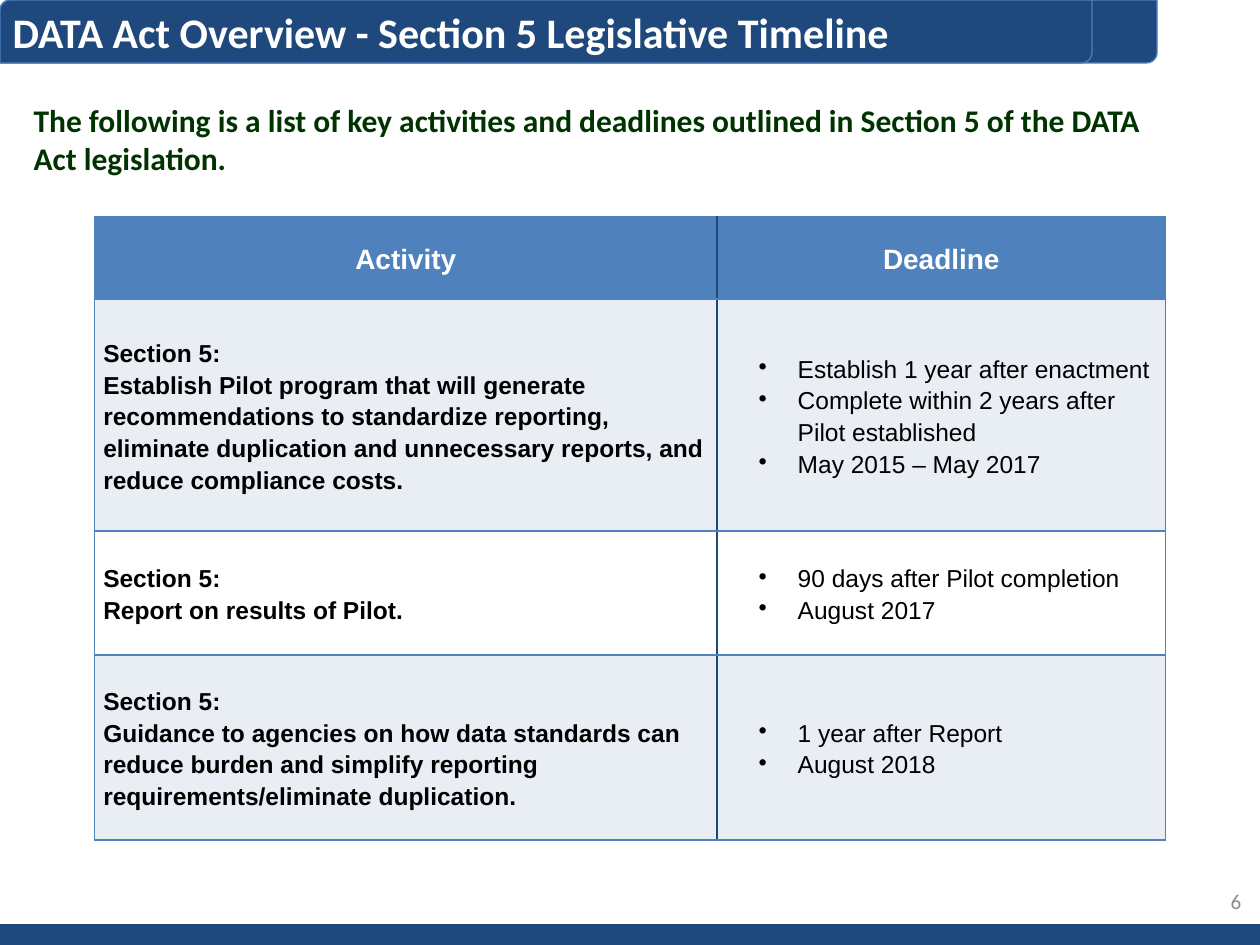
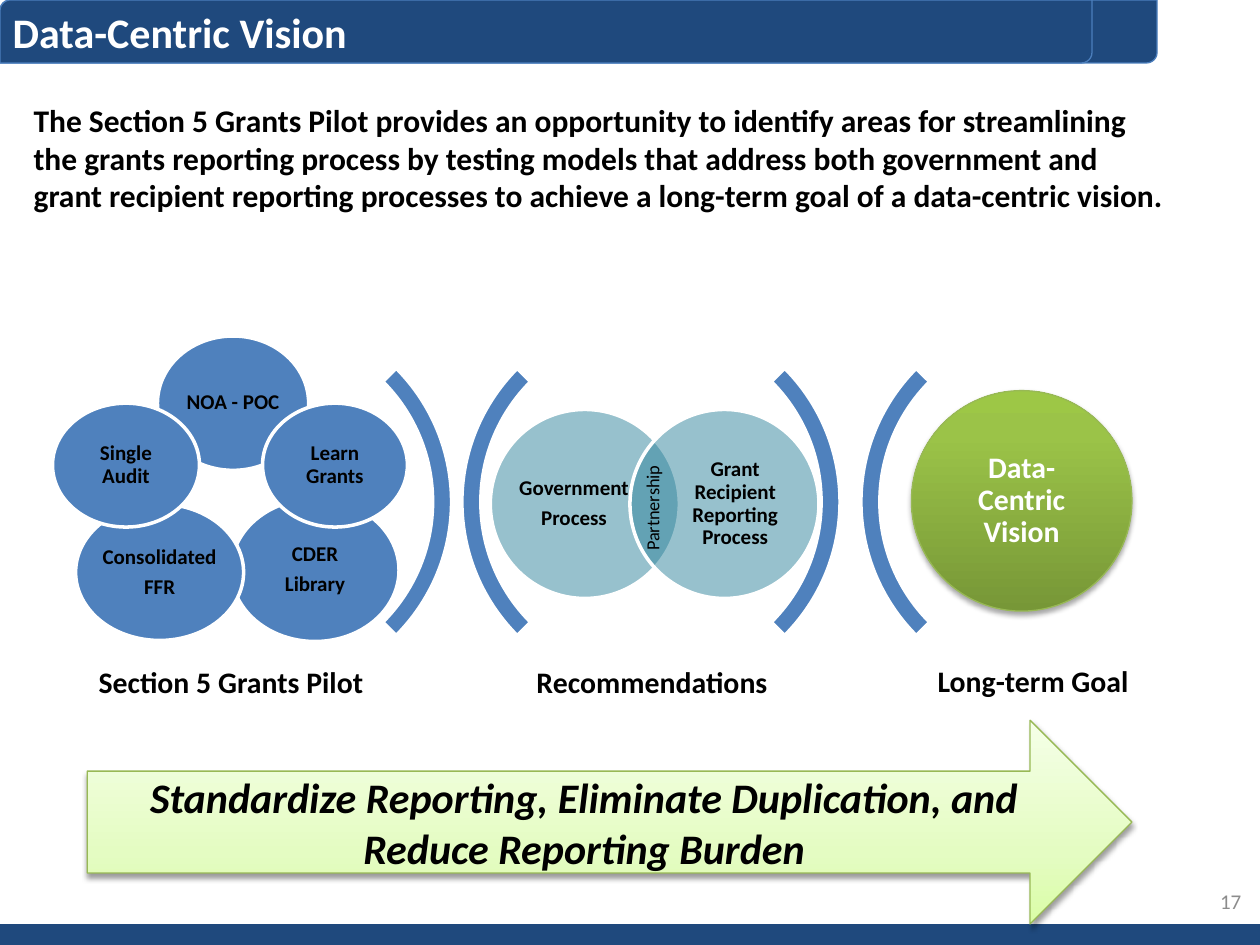
from lxml import etree
from pptx import Presentation
from pptx.dml.color import RGBColor
from pptx.enum.shapes import MSO_SHAPE
from pptx.enum.text import MSO_ANCHOR, MSO_AUTO_SIZE, PP_ALIGN
from pptx.oxml.ns import qn
from pptx.util import Inches, Pt

LEFT, CENTER, RIGHT = PP_ALIGN.LEFT, PP_ALIGN.CENTER, PP_ALIGN.RIGHT
TOP, MIDDLE = MSO_ANCHOR.TOP, MSO_ANCHOR.MIDDLE
NO_AUTOFIT = MSO_AUTO_SIZE.NONE
RECT, OVAL = MSO_SHAPE.RECTANGLE, MSO_SHAPE.OVAL
BAND, ARC = MSO_SHAPE.ROUND_2_DIAG_RECTANGLE, MSO_SHAPE.BLOCK_ARC
ARROW = MSO_SHAPE.RIGHT_ARROW

# Colours
NAVY, BLUE, BAND_EDGE, TEAL = "1F497D", "4F81BD", "4B7EBC", "31859C"
GREEN_EDGE, DARK_GREEN, PALE_BLUE = "98B955", "003300", "E9EDF4"
WHITE, BLACK, GRAY = "FFFFFF", "000000", "8C8C8C"
GOAL_GREENS = [(0, "779737"), (80, "9BC348"), (100, "9DC746")]
ARROW_GREENS = [(0, "DAFDA7"), (35, "E4FCC2"), (100, "F5FFE7")]

# Slide grid: 120 columns by 90 rows
COLUMNS, ROWS = 120, 90
CELL = Inches(10) / COLUMNS
OVAL_INSET = 0.146  # share of an oval's width outside its text area


def rgb(hex_colour):
    return RGBColor.from_string(hex_colour)


def grid(*cells):
    return [round(count * CELL) for count in cells]


def add_xml(parent, tag, **attributes):
    child = etree.SubElement(parent, qn(tag))
    for key, value in attributes.items():
        child.set(key, str(value))
    return child


# Text
def set_frame(frame, anchor=TOP, margins=None):
    frame.word_wrap = True
    frame.auto_size = NO_AUTOFIT
    frame.vertical_anchor = anchor
    if margins:
        (frame.margin_left, frame.margin_top,
         frame.margin_right, frame.margin_bottom) = margins


def write(frame, lines, size, colour, bold=True, italic=False, align=LEFT,
          font="Calibri", spacing=None, after=None, bullet=None):
    for index, line in enumerate(lines):
        paragraph = frame.paragraphs[0] if index == 0 else frame.add_paragraph()
        paragraph.alignment = align
        paragraph.space_before = Pt(0)
        if spacing:
            paragraph.line_spacing = spacing
        if after:
            paragraph.space_after = Pt(after)
        if bullet:
            properties = paragraph._p.get_or_add_pPr()
            properties.set("marL", str(Inches(0.57)))
            properties.set("indent", str(Inches(-0.31)))
            add_xml(properties, "a:buChar", char=bullet)
        run = paragraph.add_run()
        run.text = line
        run.font.name, run.font.size = font, Pt(size)
        run.font.bold, run.font.italic = bold, italic
        run.font.color.rgb = rgb(colour)


def write_diagram(frame, lines, size, colour=BLACK):
    write(frame, lines, size, colour, align=CENTER, spacing=0.9, after=0.35 * size)


def add_text(slide, place, anchor=TOP, margins=None):
    frame = slide.shapes.add_textbox(*grid(*place)).text_frame
    set_frame(frame, anchor, margins)
    return frame


# Shapes
def add_figure(slide, preset, place, fill=None, edge=None, weight=0.75):
    figure = slide.shapes.add_shape(preset, *grid(*place))
    figure.shadow.inherit = False
    if fill:
        figure.fill.solid()
        figure.fill.fore_color.rgb = rgb(fill)
    if edge:
        figure.line.color.rgb = rgb(edge)
        figure.line.width = Pt(weight)
    else:
        figure.line.fill.background()
    return figure


def add_glossy(slide, preset, place, stops, shadow_alpha):
    figure = add_figure(slide, preset, place, edge=GREEN_EDGE)
    figure.fill.gradient()
    figure.fill.gradient_angle = 90
    properties = figure._element.spPr
    stop_list = properties.find(qn("a:gradFill")).find(qn("a:gsLst"))
    for stop in list(stop_list):
        stop_list.remove(stop)
    for position, colour in stops:
        stop = add_xml(stop_list, "a:gs", pos=position * 1000)
        add_xml(stop, "a:srgbClr", val=colour)
    shadow = add_xml(properties.find(qn("a:effectLst")), "a:outerShdw",
                     blurRad=Pt(3.1), dist=Pt(1.8), dir=5400000, rotWithShape=0)
    add_xml(add_xml(shadow, "a:srgbClr", val=BLACK), "a:alpha", val=shadow_alpha * 1000)
    return figure


def fill_oval(oval, lines, size, pad_left, pad_right, colour=BLACK):
    outside = OVAL_INSET * oval.width
    left, right = (max(0, round(Inches(pad) - outside)) for pad in (pad_left, pad_right))
    set_frame(oval.text_frame, MIDDLE, (left, 0, right, 0))
    write_diagram(oval.text_frame, lines, size, colour)


def add_arc(slide, left, rotation):
    arc = add_figure(slide, ARC, (left, 29.8, 36, 36), BLUE, WHITE, 2)
    for index, value in enumerate((135, 189, 0.05)):
        arc.adjustments[index] = value
    arc.rotation = rotation


# Shared parts
def build_bands(slide, layout):
    bands = [
        add_figure(slide, RECT, (0, 88, COLUMNS, 2), NAVY),
        add_figure(slide, BAND, (0, 0, 110.2, 6), NAVY, BAND_EDGE),
        add_figure(slide, BAND, (0, 0, 104, 6), NAVY, BAND_EDGE),
    ]
    for order, band in enumerate(bands):
        band._element.nvSpPr.cNvPr.set("id", str(101 + order))
        layout.shapes._spTree.insert(2 + order, band._element)


def move(placeholder, place):
    (placeholder.left, placeholder.top,
     placeholder.width, placeholder.height) = grid(*place)
    set_frame(placeholder.text_frame)
    return placeholder.text_frame


def add_page(slide, title, intro, intro_rows, intro_colour, number):
    write(move(slide.shapes.title, (0, 0, 102, 6)), [title], 24, WHITE)
    body = move(slide.placeholders[1], (2, 9, 110.6, intro_rows))
    properties = body.paragraphs[0]._p.get_or_add_pPr()
    properties.set("marL", "0")
    properties.set("indent", "0")
    add_xml(properties, "a:buNone")
    write(body, [intro], 18, intro_colour)
    number_frame = add_text(slide, (91.4, 83.4, 28, 4.8), MIDDLE)
    write(number_frame, [number], 12, GRAY, bold=False, align=RIGHT)


# Table
def set_borders(cell, left, right):
    properties = cell._tc.get_or_add_tcPr()
    sides = (("a:lnL", left), ("a:lnR", right), ("a:lnT", BLUE), ("a:lnB", BLUE))
    for order, (tag, colour) in enumerate(sides):
        edge = add_xml(properties, tag, w=Pt(1))
        add_xml(add_xml(edge, "a:solidFill"), "a:srgbClr", val=colour)
        properties.insert(order, edge)


def add_deadlines(slide, header, rows):
    widths, heights = grid(59.3, 42.7), grid(7.9, 22.1, 11.8, 17.6)
    frame = slide.shapes.add_table(len(heights), len(widths), *grid(9, 20.6, 102, 59.4))
    table = frame.table
    for column, width in zip(table.columns, widths):
        column.width = width
    for row, height in zip(table.rows, heights):
        row.height = height
    for row_index, texts in enumerate([header] + rows):
        for column_index, lines in enumerate(texts):
            cell = table.cell(row_index, column_index)
            cell.vertical_anchor = MIDDLE
            cell.margin_left = cell.margin_right = Inches(0.07)
            cell.margin_top = cell.margin_bottom = 0
            is_header, is_activity = row_index == 0, column_index == 0
            fill = BLUE if is_header else PALE_BLUE if row_index % 2 else WHITE
            cell.fill.solid()
            cell.fill.fore_color.rgb = rgb(fill)
            set_borders(cell, *((BLUE, NAVY) if is_activity else (NAVY, BLUE)))
            write(cell.text_frame, lines, 16 if is_header else 14,
                  WHITE if is_header else BLACK, bold=is_header or is_activity,
                  align=CENTER if is_header else LEFT, font="Arial", spacing=1.15,
                  bullet=None if is_header or is_activity else "•")


# Slides
def build_timeline(slide):
    add_page(slide, "DATA Act Overview - Section 5 Legislative Timeline",
             "The following is a list of key activities and deadlines outlined in "
             "Section 5 of the DATA Act legislation.", 8.5, DARK_GREEN, "6")
    section = "Section 5:"
    add_deadlines(slide, (["Activity"], ["Deadline"]), [
        ([section, "Establish Pilot program that will generate recommendations to "
          "standardize reporting, eliminate duplication and unnecessary reports, "
          "and reduce compliance costs."],
         ["Establish 1 year after enactment",
          "Complete within 2 years after Pilot established",
          "May 2015 – May 2017"]),
        ([section, "Report on results of Pilot."],
         ["90 days after Pilot completion", "August 2017"]),
        ([section, "Guidance to agencies on how data standards can reduce burden "
          "and simplify reporting requirements/eliminate duplication."],
         ["1 year after Report", "August 2018"]),
    ])


def build_vision(slide):
    add_page(slide, "Data-Centric Vision",
             "The Section 5 Grants Pilot provides an opportunity to identify areas for "
             "streamlining the grants reporting process by testing models that address "
             "both government and grant recipient reporting processes to achieve a "
             "long-term goal of a data-centric vision.", 12.1, BLACK, "17")

    # Brackets between the three stages
    for left, rotation in ((7, 90), (44, 270), (44, 90), (82, 270)):
        add_arc(slide, left, rotation)

    # Stage labels
    for label, left, top in (("Section 5 Grants Pilot", 8.3, 61.5),
                             ("Recommendations", 48.4, 61.5),
                             ("Long-term Goal", 84.7, 61.4)):
        frame = add_text(slide, (left, top, 27.4, 7.2), MIDDLE, [Inches(0.07)] * 4)
        write_diagram(frame, [label], 17)

    # Overlapping processes
    for lines, left, pads in ((["Government", "Process"], 46.7, (0.19, 0.39)),
                              (["Grant Recipient Reporting Process"], 60, (0.39, 0.19))):
        process = add_figure(slide, OVAL, (left, 39, 18, 18), TEAL, WHITE, 2)
        colour = process._element.spPr.find(qn("a:solidFill"))[0]
        add_xml(colour, "a:alpha", val=50000)
        fill_oval(process, lines, 12, *pads)
    partnership = slide.shapes.add_textbox(*grid(56.8, 46.6, 10.7, 3.4))
    partnership.rotation = 270
    partnership.text_frame.word_wrap = False
    write(partnership.text_frame, ["Partnership"], 10.5, BLACK, bold=False)

    # Pilot models
    for lines, place in ((["NOA - POC"], (15, 32, 14.4, 12.8)),
                         (["CDER", "Library"], (22, 47.5, 16, 13.6)),
                         (["Consolidated", "FFR"], (7.2, 48, 16, 13)),
                         (["Single Audit"], (5, 38.4, 14, 11.8)),
                         (["Learn Grants"], (25, 38.4, 13.8, 11.8))):
        model = add_figure(slide, OVAL, place, BLUE, WHITE, 2)
        fill_oval(model, lines, 12, 0.21, 0.21)

    # Goal and overall direction
    goal = add_glossy(slide, OVAL, (86.8, 37.2, 21, 21), GOAL_GREENS, 35)
    fill_oval(goal, ["Data-Centric Vision"], 17, 0.33, 0.33, WHITE)
    direction = add_glossy(slide, ARROW, (8.3, 68.6, 99.5, 19.4), ARROW_GREENS, 38)
    set_frame(direction.text_frame, MIDDLE)
    write(direction.text_frame, ["Standardize Reporting, Eliminate Duplication, and "
                                 "Reduce Reporting Burden"],
          24, BLACK, italic=True, align=CENTER)


def main():
    deck = Presentation()
    deck.slide_width, deck.slide_height = grid(COLUMNS, ROWS)
    layout = deck.slide_layouts[1]
    timeline, vision = (deck.slides.add_slide(layout) for _ in range(2))
    build_bands(timeline, layout)
    build_timeline(timeline)
    build_vision(vision)
    deck.save("out.pptx")


if __name__ == "__main__":
    main()
